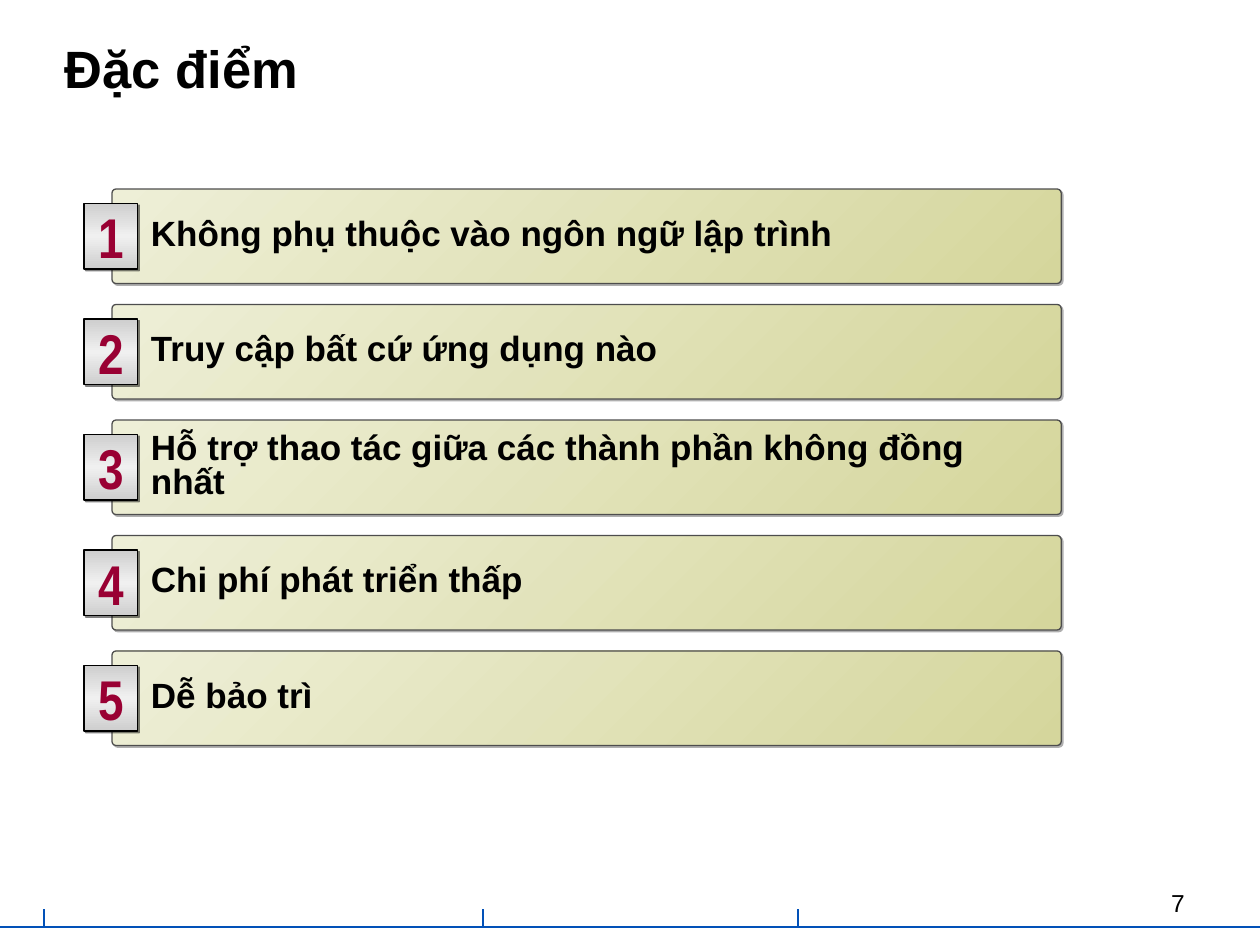
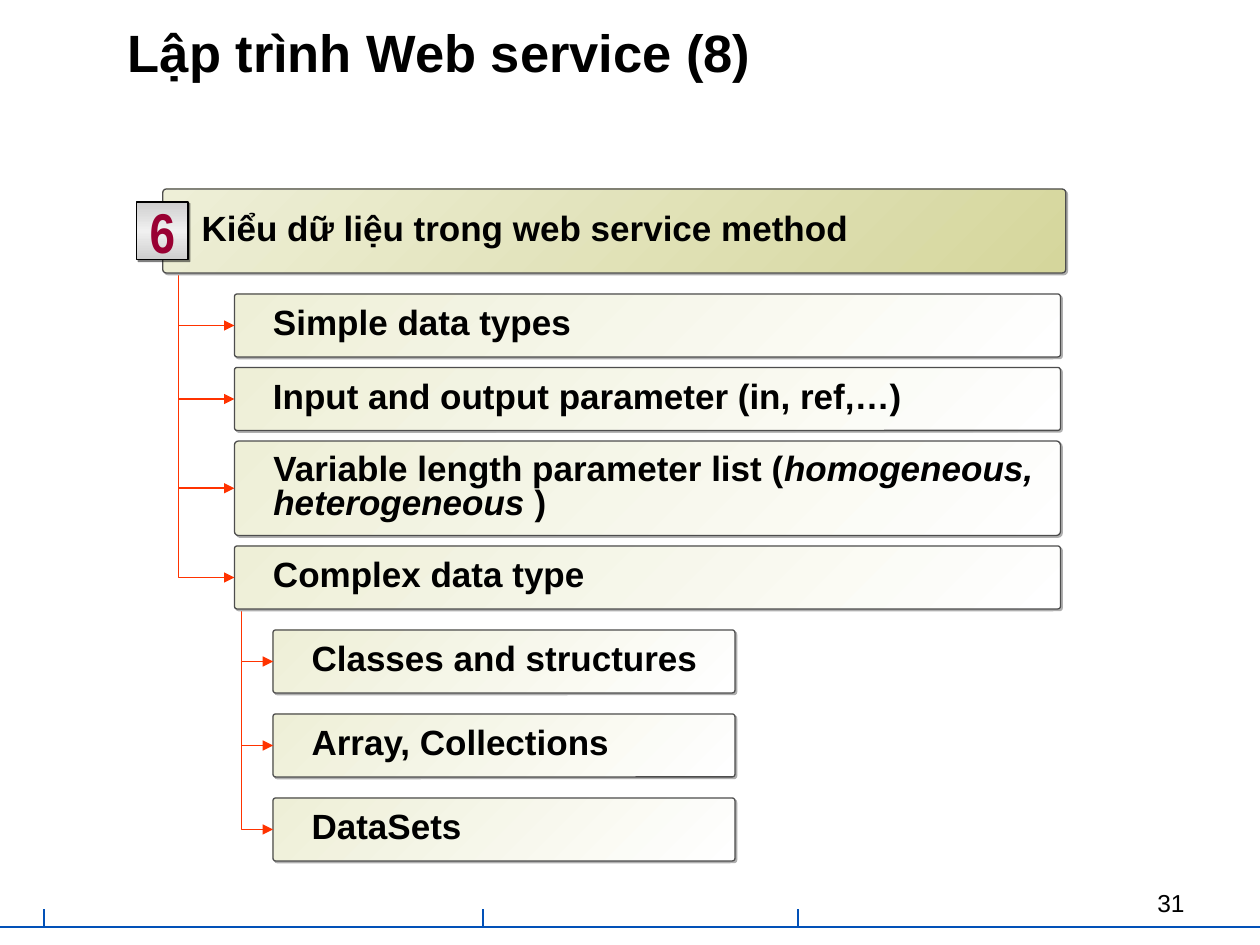
"""Build two slides of numbered bars and a branching outline on a 120 by 90 grid."""
from dataclasses import dataclass

from lxml.etree import SubElement
from pptx import Presentation
from pptx.dml.color import RGBColor
from pptx.enum.shapes import MSO_CONNECTOR as Line, MSO_SHAPE as Shape
from pptx.enum.text import MSO_ANCHOR as Anchor, PP_ALIGN as Align
from pptx.oxml.ns import qn
from pptx.util import Emu, Inches, Pt

FEATURES = dict(
    title="Đặc điểm", title_at=(5, 2, 109, 10), number="7",
    bars=["Không phụ thuộc vào ngôn ngữ lập trình",
          "Truy cập bất cứ ứng dụng nào",
          "Hỗ trợ thao tác giữa các thành phần không đồng nhất",
          "Chi phí phát triển thấp",
          "Dễ bảo trì"],
    left=10.67, top=18, width=90.4, height=9, gap=2,
    badge=(8, 5.12, 6.24))

OUTLINE = dict(
    title="Lập trình Web service (8)", title_at=(11, 1, 97, 9), number="31",
    header="Kiểu dữ liệu trong web service method", header_number="6",
    header_at=(15.5, 18, 86, 8), badge=(13, 4.92, 5.52),
    topics=[("Simple data types", 6),
            ("Input and output parameter (in, ref,…)", 6),
            ([("Variable length parameter list (", False),
              ("homogeneous, heterogeneous ", True), (")", False)], 9),
            ("Complex data type", 6)],
    topic_left=22.33, topic_top=28, topic_width=78.67, topic_gap=1, topic_trunk=17,
    types=["Classes and structures", "Array, Collections", "DataSets"],
    type_left=26, type_top=60, type_width=44, type_height=6, type_gap=2, type_trunk=23)

NUMBER_AT = (86, 84, 28, 4)
FOOTER_LINE, TICK_TOP, TICKS = 88.3, 86.6, (4.2, 46, 76)


@dataclass(frozen=True)
class Theme:
    font: str = "Arial"
    badge_font: str = "Arial Narrow"
    title_size: int = 30
    bar_size: int = 20
    badge_size: int = 32
    number_size: int = 14
    ink: str = "000000"
    badge_ink: str = "990033"
    outline: str = "4D4D4D"
    rule: str = "0251B8"
    arrow: str = "FF3300"
    olive: tuple = ("D5D69C", "EEEFD7")
    pale: tuple = ("FFFFFF", "EEEFD7")
    silver: tuple = ("CECECE", "F0F0F0", "CECECE")
    bar_shadow: tuple = ("AFAFAF", 100)
    badge_shadow: tuple = ("000000", 50)


THEME = Theme()


def grid(*cells):
    return [Inches(cell / 12) for cell in cells]


def write(box, text, size=THEME.bar_size, font=THEME.font, color=THEME.ink, bold=True,
          align=Align.LEFT, anchor=Anchor.MIDDLE, spacing=0.8, wrap=True, inset=0.1):
    frame = box.text_frame
    frame.word_wrap, frame.vertical_anchor = wrap, anchor
    frame.margin_left, frame.margin_right = Inches(inset), Inches(0.1)
    frame.margin_top = frame.margin_bottom = Inches(0.05)
    para = frame.paragraphs[0]
    para.alignment, para.line_spacing = align, spacing
    for words, italic in [(text, False)] if isinstance(text, str) else text:
        span = para.add_run()
        span.text = words
        span.font.name, span.font.size = font, Pt(size)
        span.font.bold, span.font.italic = bold, italic
        span.font.color.rgb = RGBColor.from_string(color)


def add_color(parent, color, alpha=100):
    node = SubElement(parent, qn("a:srgbClr"), val=color)
    if alpha < 100:
        SubElement(node, qn("a:alpha"), val=str(alpha * 1000))


def add_panel(page, kind, at, colors, angle, outline, shadow):
    panel = page.shapes.add_shape(kind, *grid(*at))
    panel.fill.gradient()
    gradient = panel.fill._xPr.find(qn("a:gradFill"))
    for child in list(gradient):
        gradient.remove(child)
    stops = SubElement(gradient, qn("a:gsLst"))
    for index, color in enumerate(colors):
        position = 100000 * index // (len(colors) - 1)
        add_color(SubElement(stops, qn("a:gs"), pos=str(position)), color)
    SubElement(gradient, qn("a:lin"), ang=str(angle * 60000), scaled="0")
    panel.line.color.rgb = RGBColor.from_string(outline)
    panel.line.width = Pt(0.75)
    panel.shadow.inherit = False
    effects = panel._element.spPr.find(qn("a:effectLst"))
    cast = SubElement(effects, qn("a:outerShdw"), dist=str(Pt(1.4)), dir="2700000",
                      algn="ctr", rotWithShape="0")
    add_color(cast, *shadow)
    return panel


def add_bar(page, text, at, colors):
    bar = add_panel(page, Shape.ROUNDED_RECTANGLE, at, colors, 225, THEME.outline,
                    THEME.bar_shadow)
    bar.adjustments[0] = 0.042
    write(bar, text, inset=0.3)


def add_numbered_bar(page, number, text, at, badge):
    add_bar(page, text, at, THEME.olive)
    left, width, height = badge
    top = at[1] + (at[3] - height) / 2
    box = add_panel(page, Shape.RECTANGLE, (left, top, width, height), THEME.silver, 90,
                    THEME.ink, THEME.badge_shadow)
    write(box, number, size=THEME.badge_size, font=THEME.badge_font,
          color=THEME.badge_ink, align=Align.CENTER, spacing=1.0, wrap=False)


def add_line(page, kind, ends, color, width):
    line = page.shapes.add_connector(kind, *grid(*ends))
    line.line.color.rgb = RGBColor.from_string(color)
    line.line.width = Pt(width)
    SubElement(line._element.spPr, qn("a:effectLst"))
    return line


def add_elbow(page, trunk, left, middle, drop):
    """Drop down the trunk, then turn right into a bar."""
    elbow = add_line(page, Line.ELBOW, (trunk, middle - drop, left, middle),
                     THEME.arrow, 1)
    across, down = elbow.width, elbow.height
    elbow.left = Emu(elbow.left + (across - down) // 2)
    elbow.top = Emu(elbow.top + (down - across) // 2)
    elbow.width, elbow.height = down, across
    shape = elbow._element.spPr
    frame = shape.find(qn("a:xfrm"))
    frame.set("rot", str(270 * 60000))
    frame.set("flipH", "1")
    shape.find(qn("a:prstGeom")).set("prst", "bentConnector2")
    SubElement(shape.find(qn("a:ln")), qn("a:tailEnd"), type="triangle")


def add_page(deck, content):
    page = deck.slides.add_slide(deck.slide_layouts[6])
    rules = [(120, FOOTER_LINE, 0, FOOTER_LINE)]
    rules += [(tick, FOOTER_LINE, tick, TICK_TOP) for tick in TICKS]
    for ends in rules:
        add_line(page, Line.STRAIGHT, ends, THEME.rule, 0.75)
    title = page.shapes.add_textbox(*grid(*content["title_at"]))
    write(title, content["title"], size=THEME.title_size)
    number = page.shapes.add_textbox(*grid(*NUMBER_AT))
    write(number, content["number"], size=THEME.number_size, bold=False,
          align=Align.RIGHT, anchor=Anchor.TOP, spacing=1.0)
    return page


def build_features(deck, content):
    page = add_page(deck, content)
    pitch = content["height"] + content["gap"]
    for index, text in enumerate(content["bars"]):
        at = (content["left"], content["top"] + index * pitch,
              content["width"], content["height"])
        add_numbered_bar(page, str(index + 1), text, at, content["badge"])


def build_outline(deck, content):
    page = add_page(deck, content)
    height = content["type_height"]
    pitch = height + content["type_gap"]
    for index, text in enumerate(content["types"]):
        left, top = content["type_left"], content["type_top"] + index * pitch
        add_bar(page, text, (left, top, content["type_width"], height), THEME.pale)
        add_elbow(page, content["type_trunk"], left, top + height / 2, pitch)
    left, top = content["topic_left"], content["topic_top"]
    for text, height in content["topics"]:
        add_bar(page, text, (left, top, content["topic_width"], height), THEME.pale)
        add_elbow(page, content["topic_trunk"], left, top + height / 2, 1.5 * height)
        top += height + content["topic_gap"]
    add_numbered_bar(page, content["header_number"], content["header"],
                     content["header_at"], content["badge"])


def main():
    deck = Presentation()
    deck.slide_width, deck.slide_height = grid(120, 90)
    build_features(deck, FEATURES)
    build_outline(deck, OUTLINE)
    deck.save("out.pptx")


if __name__ == "__main__":
    main()
